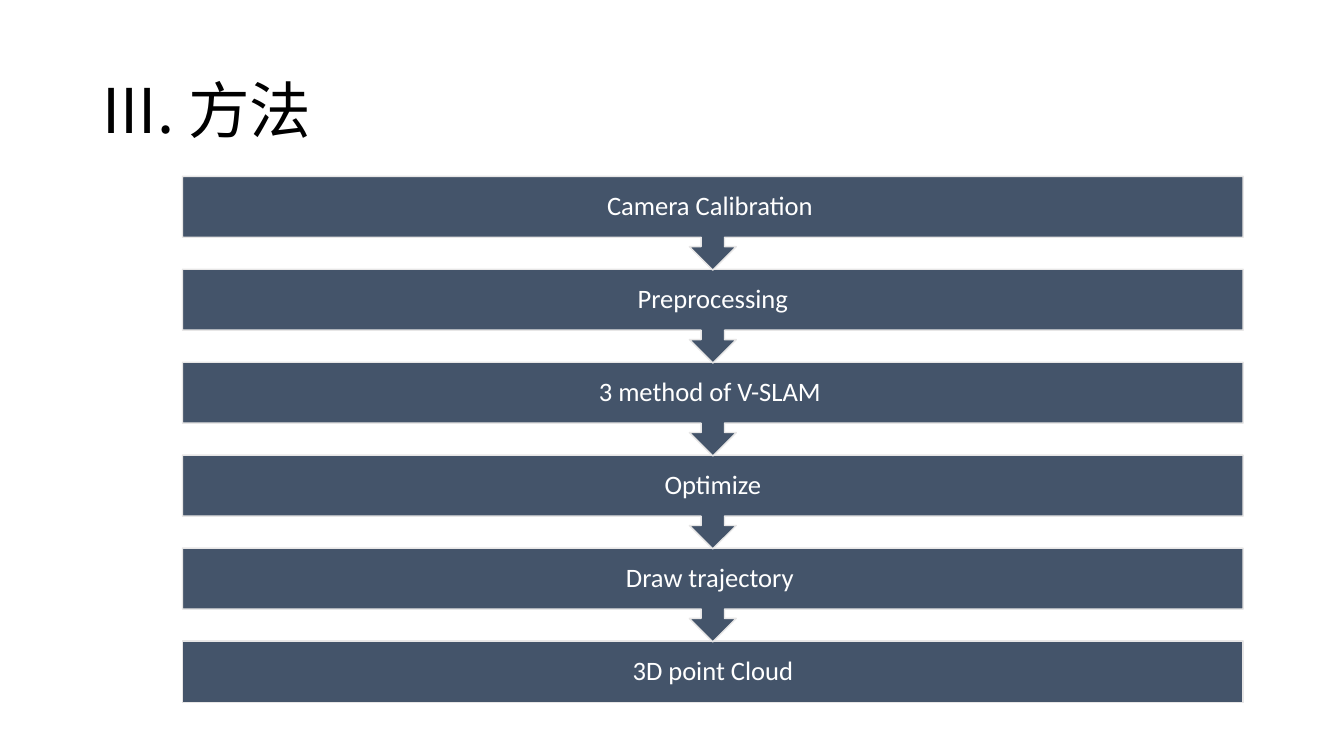
from dataclasses import dataclass

from lxml.etree import SubElement
from pptx import Presentation
from pptx.dml.color import RGBColor
from pptx.enum.shapes import MSO_SHAPE
from pptx.enum.text import MSO_ANCHOR, MSO_AUTO_SIZE, PP_ALIGN
from pptx.oxml.ns import qn
from pptx.util import Inches, Pt


@dataclass(frozen=True)
class Theme:
    """Colours, fonts and type sizes of the slide."""
    title_color: RGBColor = RGBColor(0x00, 0x00, 0x00)
    step_fill: RGBColor = RGBColor(0x44, 0x54, 0x6A)
    step_line: RGBColor = RGBColor(0xE7, 0xE6, 0xE6)
    step_text: RGBColor = RGBColor(0xFF, 0xFF, 0xFF)
    title_font: str = "Noto Sans CJK TC"
    step_font: str = "Calibri"
    title_size: int = 44
    step_size: int = 19


THEME = Theme()
STEPS = ["Camera Calibration ", "Preprocessing", "3 method of V-SLAM ",
         "Optimize", "Draw trajectory ", "3D point Cloud"]
FLOW_LEFT, FLOW_TOP, FLOW_WIDTH = 1.81, 1.75, 10.52
ROW_PITCH, CALLOUT_HEIGHT, BAR_HEIGHT = 0.922, 0.93, 0.61


def style_paragraph(paragraph, font_name, size, color, alignment):
    """Set the type and alignment of a paragraph."""
    paragraph.alignment = alignment
    paragraph.line_spacing = 0.9
    paragraph.font.name = font_name
    paragraph.font.size = Pt(size)
    paragraph.font.color.rgb = color


def add_title(slide, text):
    """Place and format the title placeholder."""
    title = slide.shapes.title
    title.left, title.top = Inches(0.92), Inches(0.4)
    title.width, title.height = Inches(11.5), Inches(1.45)
    frame = title.text_frame
    frame.text = text
    frame.auto_size = MSO_AUTO_SIZE.NONE
    frame.vertical_anchor = MSO_ANCHOR.MIDDLE
    paragraph = frame.paragraphs[0]
    style_paragraph(paragraph, THEME.title_font, THEME.title_size,
                    THEME.title_color, PP_ALIGN.LEFT)
    properties = paragraph.runs[0].font
    properties.name = THEME.title_font
    run_properties = paragraph.runs[0]._r.get_or_add_rPr()
    SubElement(run_properties, qn("a:ea"), typeface=THEME.title_font)


def add_step(slide, row, text, is_last):
    """Add one step of the flow, with an arrow to the next unless last."""
    kind = MSO_SHAPE.RECTANGLE if is_last else MSO_SHAPE.DOWN_ARROW_CALLOUT
    height = BAR_HEIGHT if is_last else CALLOUT_HEIGHT
    shape = slide.shapes.add_shape(
        kind, Inches(FLOW_LEFT), Inches(FLOW_TOP + row * ROW_PITCH),
        Inches(FLOW_WIDTH), Inches(height))
    shape.shadow.inherit = False
    shape.fill.solid()
    shape.fill.fore_color.rgb = THEME.step_fill
    shape.line.color.rgb = THEME.step_line
    shape.line.width = Pt(1)
    frame = shape.text_frame
    frame.text = text
    frame.word_wrap = True
    frame.vertical_anchor = MSO_ANCHOR.MIDDLE
    frame.margin_left = frame.margin_right = Inches(0.15)
    frame.margin_top = frame.margin_bottom = Inches(0.15)
    style_paragraph(frame.paragraphs[0], THEME.step_font, THEME.step_size,
                    THEME.step_text, PP_ALIGN.CENTER)


def main():
    """Build the slide and save it."""
    presentation = Presentation()
    presentation.slide_width = Inches(13.33)
    presentation.slide_height = Inches(7.5)
    slide = presentation.slides.add_slide(presentation.slide_layouts[5])
    add_title(slide, "III. 方法")
    last_row = len(STEPS) - 1
    for row, text in reversed(list(enumerate(STEPS))):
        add_step(slide, row, text, row == last_row)
    presentation.save("out.pptx")


if __name__ == "__main__":
    main()
